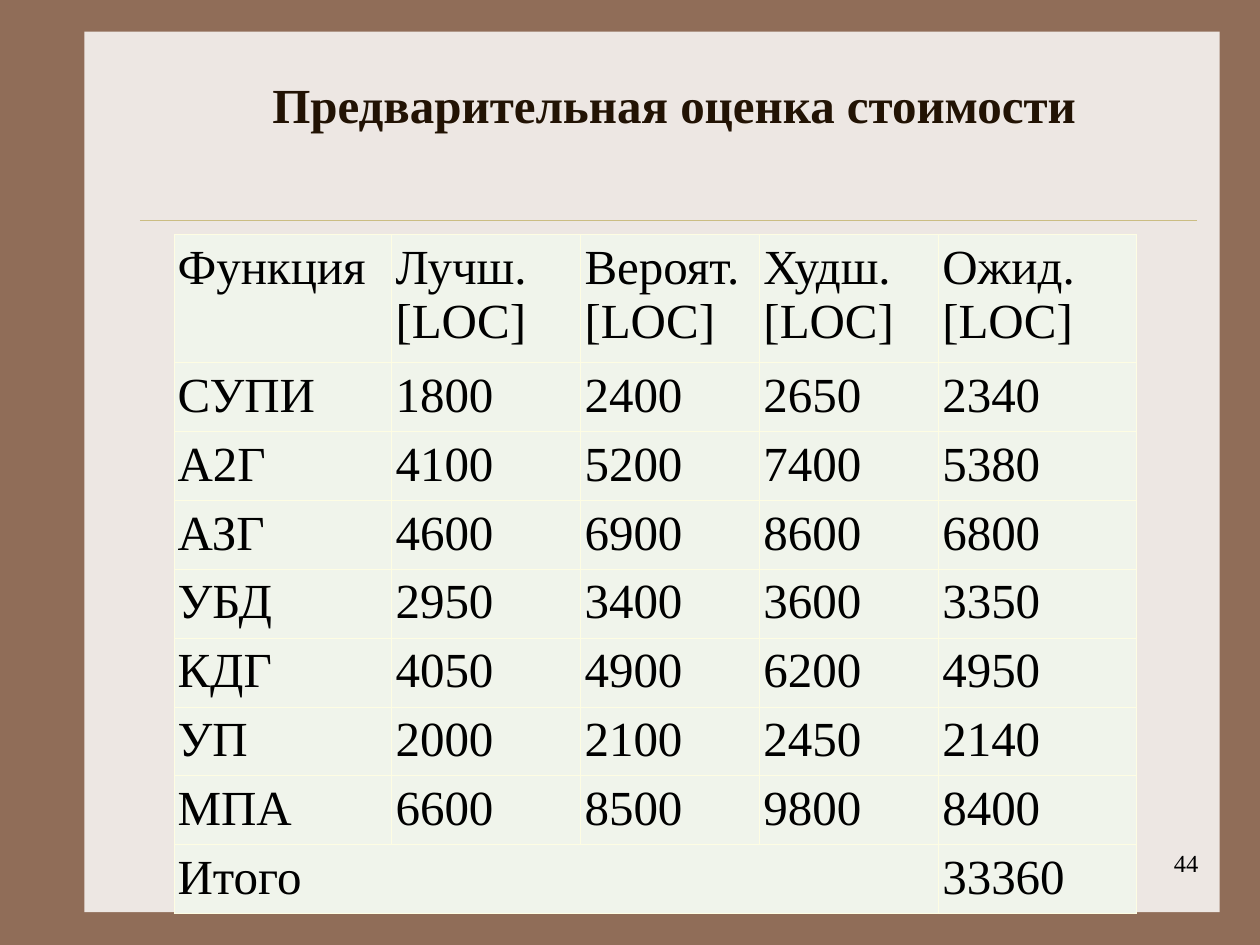
"""Build the slide with the preliminary cost estimate table."""
from lxml.etree import SubElement
from pptx import Presentation
from pptx.dml.color import RGBColor
from pptx.enum.shapes import MSO_CONNECTOR, MSO_SHAPE
from pptx.enum.text import MSO_ANCHOR, PP_ALIGN
from pptx.oxml import parse_xml
from pptx.oxml.ns import nsdecls, qn
from pptx.util import Inches, Pt

BROWN = RGBColor(0x90, 0x6D, 0x58)
PAPER = RGBColor(0xED, 0xE7, 0xE3)
GOLD = RGBColor(0xCB, 0xBD, 0x83)
TITLE_COLOR = RGBColor(0x22, 0x13, 0x04)
BLACK = RGBColor(0x00, 0x00, 0x00)
CELL_FILL = RGBColor(0xF0, 0xF4, 0xEB)
BORDER = RGBColor(0xFE, 0xFD, 0xE3)
FONT = "Times New Roman"

COLUMN_WIDTHS = [1.73, 1.5, 1.42, 1.42, 1.57]
HEADER_HEIGHT, ROW_HEIGHT = 1, 0.53
ROWS = [
    ["Функция", "Лучш. [LOC]", "Вероят. [LOC]", "Худш. [LOC]", "Ожид. [LOC]"],
    ["СУПИ", "1800", "2400", "2650", "2340"],
    ["А2Г", "4100", "5200", "7400", "5380"],
    ["АЗГ", "4600", "6900", "8600", "6800"],
    ["УБД", "2950", "3400", "3600", "3350"],
    ["КДГ", "4050", "4900", "6200", "4950"],
    ["УП", "2000", "2100", "2450", "2140"],
    ["МПА", "6600", "8500", "9800", "8400"],
    ["Итого", "", "", "", "33360"],
]


def write(frame, text, size, color, align, bold=False):
    para = frame.paragraphs[0]
    para.alignment = align
    span = para.add_run()
    span.text = text
    span.font.name = FONT
    span.font.size = Pt(size)
    span.font.bold = bold
    span.font.color.rgb = color


def add_borders(cell):
    properties = cell._tc.get_or_add_tcPr()
    for side in ("lnL", "lnR", "lnT", "lnB"):
        properties.append(parse_xml(
            f'<a:{side} {nsdecls("a")} w="{Pt(0.45)}"><a:solidFill>'
            f'<a:srgbClr val="{BORDER}"/></a:solidFill></a:{side}>'))


deck = Presentation()
deck.slide_width, deck.slide_height = Inches(10), Inches(7.5)
page = deck.slides.add_slide(deck.slide_layouts[6])
page.background.fill.solid()
page.background.fill.fore_color.rgb = BROWN

panel = page.shapes.add_shape(
    MSO_SHAPE.RECTANGLE, Inches(0.67), Inches(0.25), Inches(9.01), Inches(6.99))
panel.shadow.inherit = False
panel.fill.solid()
panel.fill.fore_color.rgb = PAPER
panel.line.fill.background()

rule = page.shapes.add_connector(
    MSO_CONNECTOR.STRAIGHT, Inches(1.11), Inches(1.75), Inches(9.5), Inches(1.75))
rule.line.color.rgb = GOLD
rule.line.width = Pt(0.25)
SubElement(rule._element.spPr, qn("a:effectLst"))

number_box = page.shapes.add_textbox(
    Inches(7.53), Inches(6.68), Inches(2.08), Inches(0.5))
number_box.text_frame.word_wrap = True
write(number_box.text_frame, "44", 14, BLACK, PP_ALIGN.RIGHT)

title_box = page.shapes.add_textbox(
    Inches(1.06), Inches(0.42), Inches(8.58), Inches(0.81))
title_box.text_frame.word_wrap = True
title_box.text_frame.vertical_anchor = MSO_ANCHOR.MIDDLE
write(title_box.text_frame, "Предварительная оценка стоимости", 28,
      TITLE_COLOR, PP_ALIGN.CENTER, bold=True)

table = page.shapes.add_table(
    len(ROWS), len(COLUMN_WIDTHS), Inches(1.38), Inches(1.86),
    Inches(sum(COLUMN_WIDTHS)),
    Inches(HEADER_HEIGHT + ROW_HEIGHT * (len(ROWS) - 1))).table
table.first_row = False
table.horz_banding = False
for column, width in zip(table.columns, COLUMN_WIDTHS):
    column.width = Inches(width)
for index, row in enumerate(table.rows):
    row.height = Inches(ROW_HEIGHT if index else HEADER_HEIGHT)
    for cell, text in zip(row.cells, ROWS[index]):
        cell.margin_left = cell.margin_right = Inches(0.03)
        cell.margin_top, cell.margin_bottom = Inches(0.05), Inches(0.03)
        add_borders(cell)
        cell.fill.solid()
        cell.fill.fore_color.rgb = CELL_FILL
        if text:
            write(cell.text_frame, text, 28, BLACK, PP_ALIGN.JUSTIFY)
last = len(ROWS) - 1
table.cell(last, 0).merge(table.cell(last, 3))

deck.save("out.pptx")
